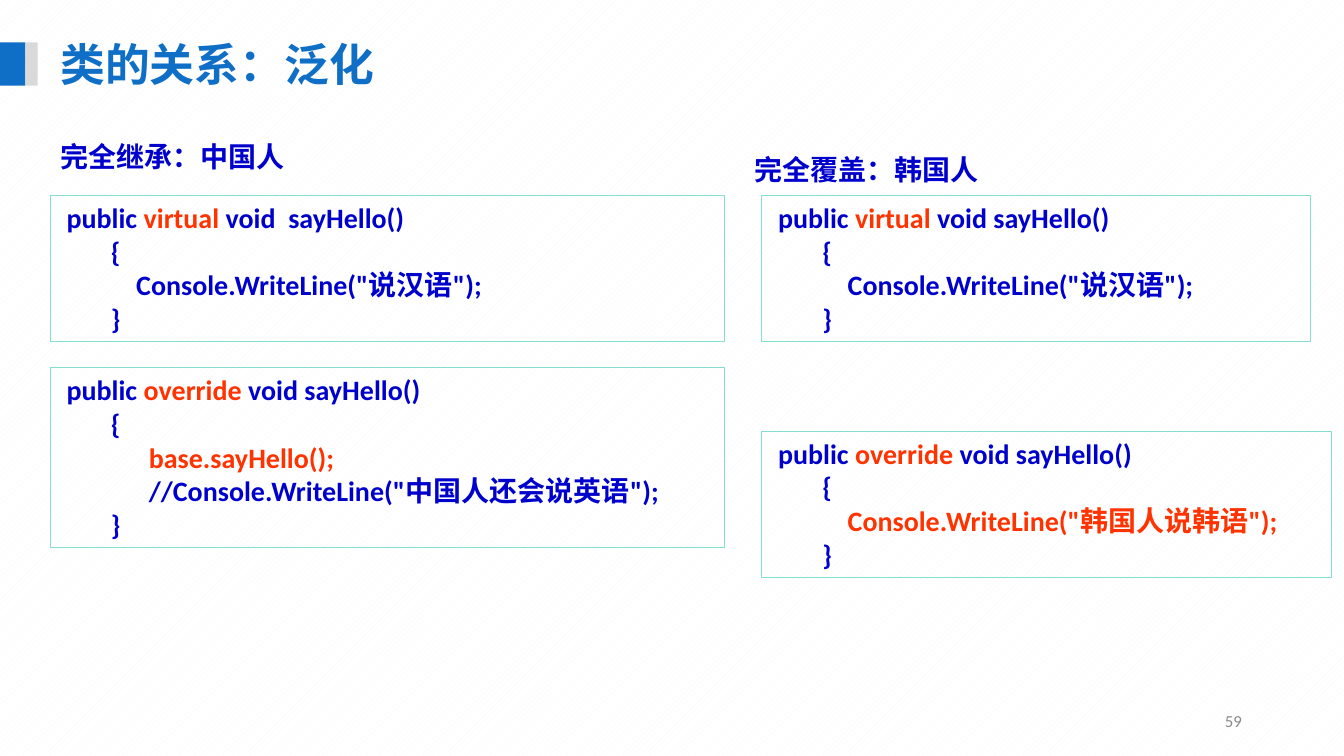
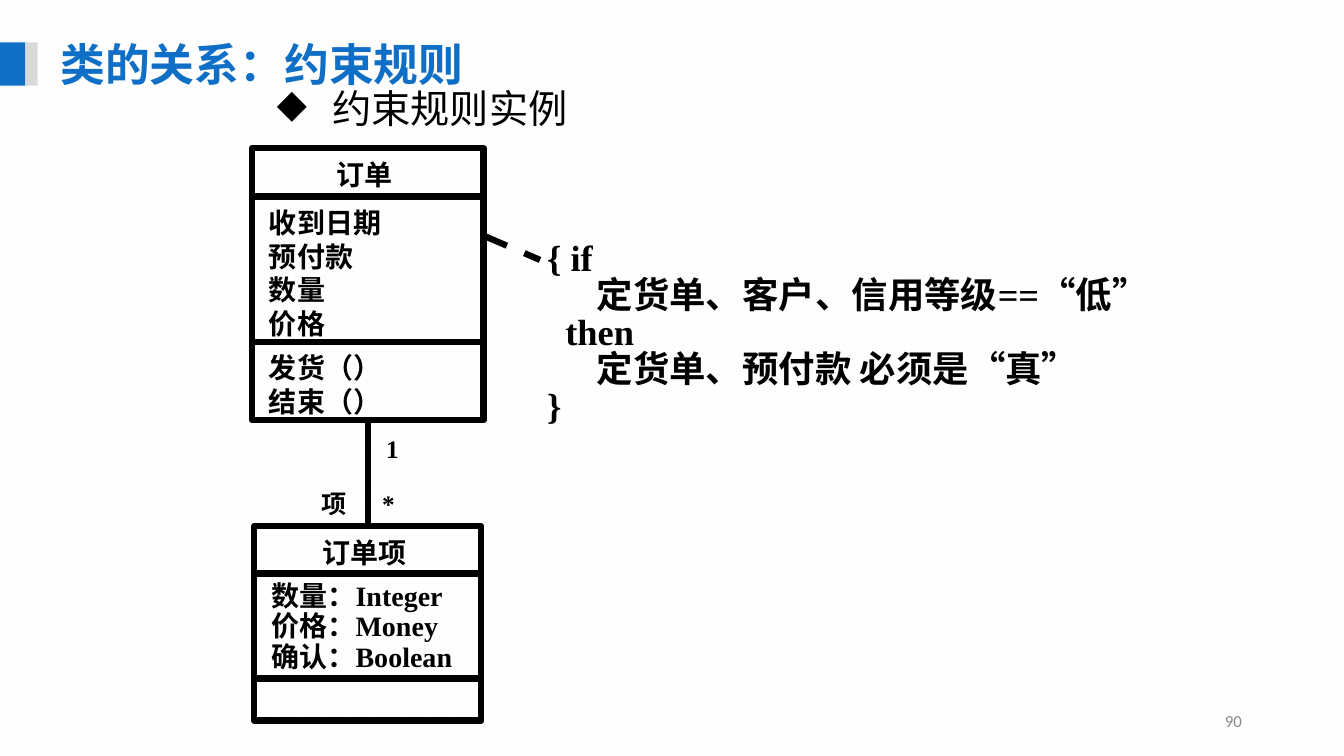
from lxml.etree import SubElement
from pptx import Presentation
from pptx.dml.color import RGBColor
from pptx.enum.dml import MSO_LINE, MSO_PATTERN
from pptx.enum.shapes import MSO_CONNECTOR, MSO_SHAPE
from pptx.enum.text import MSO_ANCHOR, PP_ALIGN
from pptx.oxml.ns import qn
from pptx.util import Cm, Pt

COLORS = {
    "paper": "FFFFFF",
    "stripe": "F7FAFC",
    "title": "0F6FC6",
    "band": "D9D9D9",
    "code": "0000CC",
    "accent": "FF3300",
    "frame": "85DFD0",
    "ink": "000000",
    "number": "898989",
}
SANS = "Calibri"
SERIF = "Times New Roman"
CHINESE = "Noto Sans CJK SC"
HEAVY = 4.5


def color(name):
    """Return the named colour."""
    return RGBColor.from_string(COLORS[name])


def style_paragraph(para, size, face, ink, bold):
    """Set the Latin and East Asian fonts of a paragraph."""
    font = para.font
    font.size, font.bold, font.name = Pt(size), bold, face
    font.color.rgb = color(ink)
    defaults = para._p.get_or_add_pPr().find(qn("a:defRPr"))
    SubElement(defaults, qn("a:ea"), typeface=CHINESE)


def add_bullet(para, mark, indent):
    """Give a paragraph a hanging bullet."""
    properties = para._p.get_or_add_pPr()
    properties.set("marL", str(Cm(indent)))
    properties.set("indent", str(-Cm(indent)))
    SubElement(properties, qn("a:buChar"), char=mark)


def write(shape, lines, size, face=SANS, ink="ink", bold=True, align=PP_ALIGN.LEFT,
          spacing=None, anchor=MSO_ANCHOR.TOP, inset=None, bullet=None):
    """Write lines, each a string or a list of (text, colour) spans."""
    frame = shape.text_frame
    frame.word_wrap = True
    frame.vertical_anchor = anchor
    if inset is not None:
        frame.margin_left = frame.margin_right = Cm(inset)
        frame.margin_top = frame.margin_bottom = Cm(inset)
    for index, line in enumerate(lines):
        para = frame.add_paragraph() if index else frame.paragraphs[0]
        para.alignment = align
        if spacing:
            para.line_spacing = spacing
        if bullet:
            add_bullet(para, bullet, 1.4)
        style_paragraph(para, size, face, ink, bold)
        for text, tint in [(line, ink)] if isinstance(line, str) else line:
            span = para.add_run()
            span.text = text
            if tint != ink:
                span.font.color.rgb = color(tint)


def add_text(page, box, lines, size, **style):
    """Add a text box at (left, top, width, height) in centimetres."""
    write(page.shapes.add_textbox(*map(Cm, box)), lines, size, **style)


def add_box(page, box, fill=None, line=None, width=0.75):
    """Add a plain rectangle."""
    shape = page.shapes.add_shape(MSO_SHAPE.RECTANGLE, *map(Cm, box))
    shape.shadow.inherit = False
    if fill:
        shape.fill.solid()
        shape.fill.fore_color.rgb = color(fill)
    else:
        shape.fill.background()
    if line:
        shape.line.color.rgb = color(line)
        shape.line.width = Pt(width)
    else:
        shape.line.fill.background()
    return shape


def add_line(page, start, end, dash=None):
    """Add a heavy straight connector."""
    line = page.shapes.add_connector(MSO_CONNECTOR.STRAIGHT, *map(Cm, start + end))
    line.line.color.rgb = color("ink")
    line.line.width = Pt(HEAVY)
    if dash:
        line.line.dash_style = dash
    SubElement(line._element.spPr, qn("a:effectLst"))
    return line


def add_page(deck, title, number):
    """Add a page with the shared background, bands, title and number."""
    page = deck.slides.add_slide(deck.slide_layouts[6])
    fill = page.background.fill
    fill.patterned()
    fill.pattern = MSO_PATTERN.WIDE_UPWARD_DIAGONAL
    fill.fore_color.rgb = color("stripe")
    fill.back_color.rgb = color("paper")
    add_box(page, (0, 1.07, 0.64, 1.09), fill="title")
    add_box(page, (0.64, 1.07, 0.31, 1.09), fill="band")
    add_text(page, (1.27, 0.79, 19.86, 1.63), [title], 32, face=CHINESE, ink="title")
    add_text(page, (23.93, 17.65, 7.62, 1.02), [str(number)], 12, ink="number",
             bold=False, align=PP_ALIGN.RIGHT, anchor=MSO_ANCHOR.MIDDLE)
    return page


def add_method(page, box, keyword, body, name=" sayHello()"):
    """Add a framed method listing with its keyword highlighted."""
    signature = [(" public ", "code"), (keyword, "accent"), (" void" + name, "code")]
    lines = [signature, "        {", *body, "        }"]
    write(add_box(page, box, line="frame"), lines, 20, ink="code")


def add_class(page, box, name, sections):
    """Add a class diagram box; sections are (divider offset, lines, spacing)."""
    left, top, width, height = box
    outline = add_box(page, box, line="ink", width=HEAVY)
    add_text(page, (left, top + 0.2, width - 0.17, 0.9), [name], 20, face=SERIF,
             align=PP_ALIGN.CENTER, inset=0.03)
    for offset, lines, spacing in sections:
        y = top + offset
        add_line(page, (left, y), (left + width, y))
        if lines:
            add_text(page, (left + 0.4, y + 0.2, width - 0.6, 0.85 * len(lines)), lines,
                     20, face=SERIF, spacing=spacing, inset=0.03)
    return outline


def build_generalization(deck):
    """Build the page on inheriting and overriding methods."""
    page = add_page(deck, "类的关系：泛化", 59)
    add_text(page, (1.27, 3.38, 16.99, 1.12), ["完全继承：中国人"], 20, ink="code")
    add_text(page, (18.77, 3.71, 14.35, 1.12), ["完全覆盖：韩国人"], 20, ink="code")
    chinese = ['            Console.WriteLine("说汉语");']
    add_method(page, (1.27, 4.93, 16.99, 3.68), "virtual", chinese, "  sayHello()")
    add_method(page, (1.27, 9.27, 16.99, 4.52), "override", [
        [("              base.sayHello();", "accent")],
        '              //Console.WriteLine("中国人还会说英语");',
    ])
    add_method(page, (19.2, 4.93, 13.82, 3.68), "virtual", chinese)
    add_method(page, (19.2, 10.87, 14.35, 3.68), "override", [
        [('            Console.WriteLine("韩国人说韩语");', "accent")],
    ])


def build_constraint(deck):
    """Build the page on constraint rules between two classes."""
    page = add_page(deck, "类的关系：约束规则", 90)
    add_text(page, (6.73, 2.13, 15.47, 1.32), ["约束规则实例"], 28, bold=False,
             spacing=0.9, anchor=MSO_ANCHOR.MIDDLE, bullet="◆")
    order = add_class(page, (6.35, 3.73, 5.84, 6.86), "订单", [
        (1.22, ["收到日期", "预付款", "数量", "价格"], None),
        (4.88, ["发货（）", "结束（）"], None),
    ])
    item = add_class(page, (6.41, 13.26, 5.72, 4.9), "订单项", [
        (1.19, ["数量：Integer", "价格：Money", "确认：Boolean"], 0.9),
        (3.84, [], None),
    ])
    association = add_line(page, (9.27, 10.59), (9.27, 13.26))
    association.begin_connect(order, 2)
    association.end_connect(item, 0)
    for left, top, label in ((9.7, 10.9, "1"), (9.6, 12.27, "*"), (8.08, 12.27, "项")):
        add_text(page, (left, top, 1, 0.9), [label], 18, face=SERIF, inset=0.03)
    add_line(page, (12.19, 5.94), (13.61, 6.55), MSO_LINE.DASH)
    add_text(page, (13.54, 5.97, 16.51, 4.5), [
        "{ if",
        "      定货单、客户、信用等级==“低”",
        "  then",
        "      定货单、预付款 必须是“真”",
        "}",
    ], 26, face=SERIF, spacing=0.85)


def main():
    """Build and save the deck."""
    deck = Presentation()
    deck.slide_width, deck.slide_height = Cm(33.87), Cm(19.05)
    build_generalization(deck)
    build_constraint(deck)
    deck.save("out.pptx")


if __name__ == "__main__":
    main()
